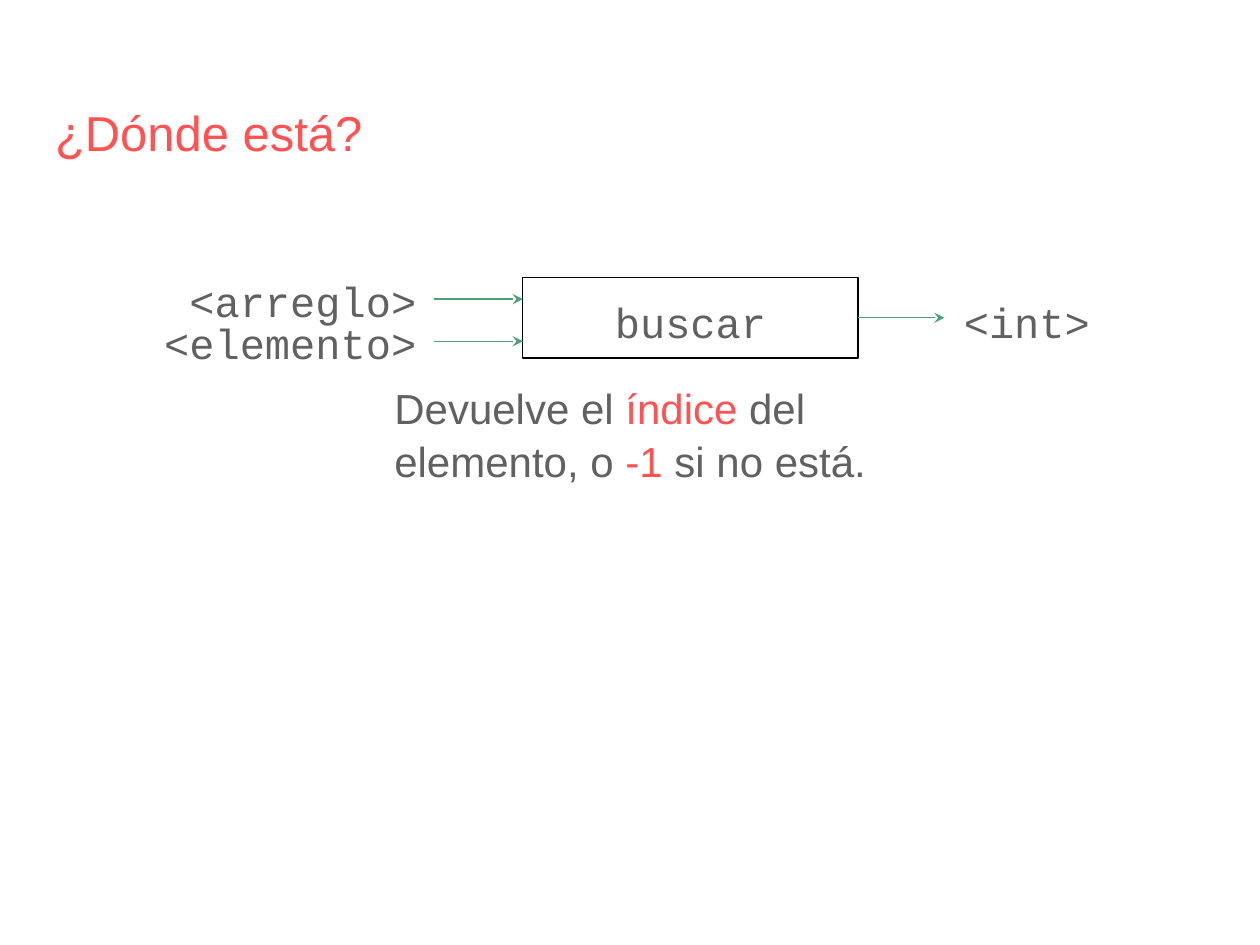
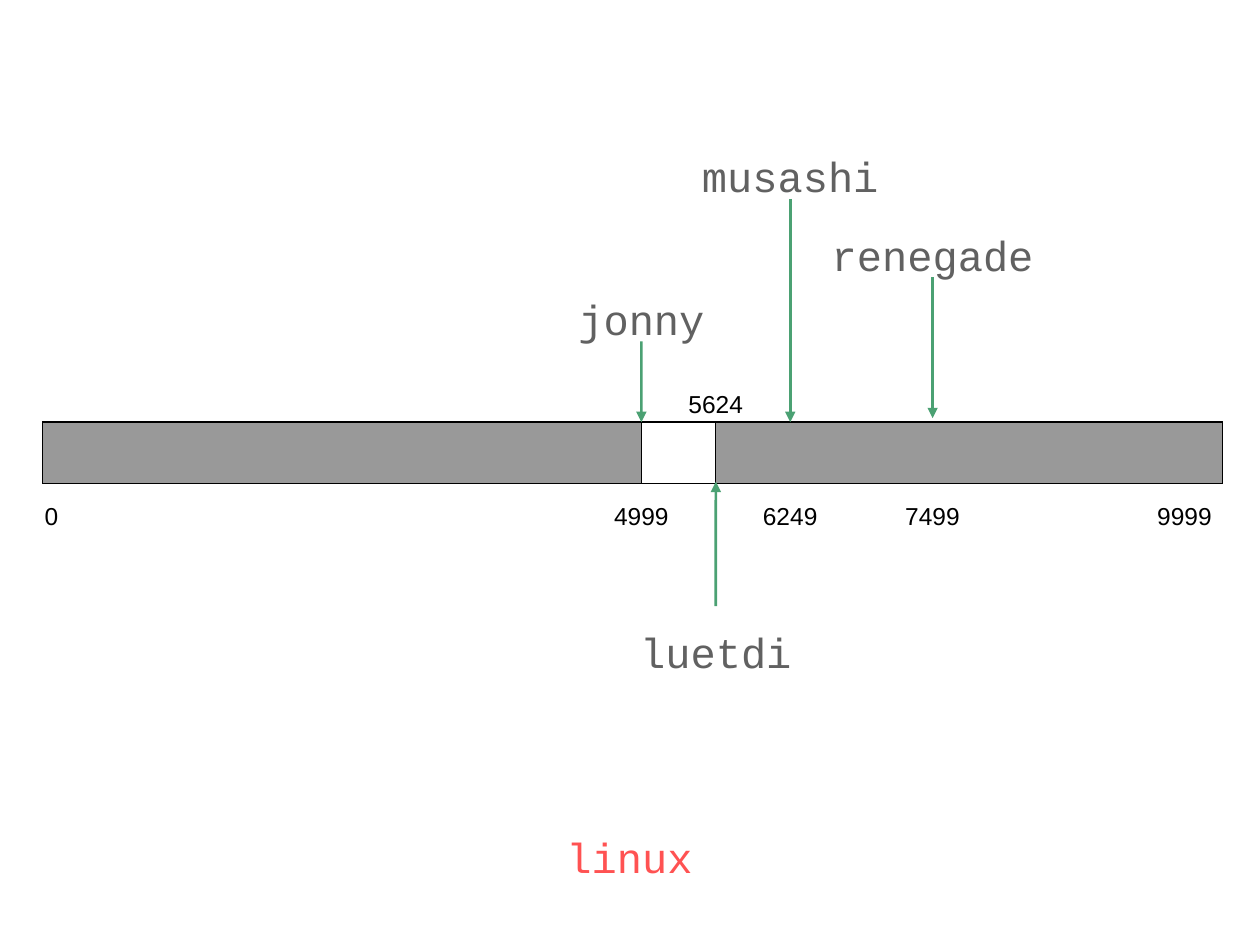
import pptx
import pptx.util
import pptx.dml.color
import pptx.enum.shapes
import pptx.enum.text
from dataclasses import dataclass
from lxml import etree

Cm, Pt = pptx.util.Cm, pptx.util.Pt
ALIGN = pptx.enum.text.PP_ALIGN
ANCHOR = pptx.enum.text.MSO_ANCHOR
TOP, LEFT, BOTTOM, RIGHT = range(4)


@dataclass(frozen=True)
class Theme:
    accent: str = "FF5252"
    body: str = "616161"
    arrow: str = "4BA173"
    ink: str = "000000"
    discarded: str = "999999"
    paper: str = "FFFFFF"
    sans: str = "Arial"
    mono: str = "Courier New"
    title_size: int = 28
    body_size: int = 24
    index_size: int = 14
    inset: float = 0.25
    thin: float = 0.75
    thick: float = 1.5
    spacing: float = 1.15


THEME = Theme()


def rgb(color):
    return pptx.dml.color.RGBColor.from_string(color)


def write(sp, runs, font=THEME.mono, size=THEME.body_size, align=ALIGN.CENTER,
          anchor=ANCHOR.MIDDLE, spacing=THEME.spacing):
    """Fill a shape with one paragraph of (text, color) runs."""
    tf = sp.text_frame
    tf.word_wrap = True
    tf.vertical_anchor = anchor
    tf.margin_left = tf.margin_right = Cm(THEME.inset)
    tf.margin_top = tf.margin_bottom = Cm(THEME.inset)
    p = tf.paragraphs[0]
    p.alignment = align
    p.line_spacing = spacing
    for text, color in runs:
        r = p.add_run()
        r.text = text
        r.font.name, r.font.size = font, Pt(size)
        r.font.color.rgb = rgb(color)


def add_text(s, box, runs, **style):
    sp = s.shapes.add_textbox(*map(Cm, box))
    write(sp, runs, **style)
    return sp


def add_rect(s, box, fill=None):
    sp = s.shapes.add_shape(pptx.enum.shapes.MSO_SHAPE.RECTANGLE, *map(Cm, box))
    sp.shadow.inherit = False
    if fill:
        sp.fill.solid()
        sp.fill.fore_color.rgb = rgb(fill)
    else:
        sp.fill.background()
    sp.line.color.rgb = rgb(THEME.ink)
    sp.line.width = Pt(THEME.thin)
    return sp


def add_arrow(s, start, end, width, head):
    c = s.shapes.add_connector(pptx.enum.shapes.MSO_CONNECTOR.STRAIGHT,
                               *map(Cm, start + end))
    c.line.color.rgb = rgb(THEME.arrow)
    c.line.width = Pt(width)
    tail = etree.SubElement(c.line._get_or_add_ln(),
                            pptx.oxml.ns.qn("a:tailEnd"))
    tail.set("type", head)
    etree.SubElement(c._element.spPr, pptx.oxml.ns.qn("a:effectLst"))
    return c


def add_title(s, text):
    add_text(s, (0.86, 1.65, 23.67, 2.11), [(text, THEME.accent)],
             font=THEME.sans, size=THEME.title_size, align=ALIGN.LEFT,
             anchor=ANCHOR.TOP)


def add_function_diagram(s, box, name, inputs, output):
    """Draw a function with its inputs on the left and output on the right."""
    x, y, w, h = box
    middle = y + h / 2
    label_h, row_gap = 0.94, 0.85

    function = add_rect(s, box)
    write(function, [(name, THEME.body)])

    # Inputs, stacked around the middle of the box
    for i, text in enumerate(inputs):
        row = middle + (i - (len(inputs) - 1) / 2) * row_gap
        add_text(s, (x - 7.85, row - label_h / 2, 5.95, label_h),
                 [(text, THEME.body)], align=ALIGN.RIGHT)
        add_arrow(s, (x - 1.8, row + 0.05), (x, row + 0.05),
                  THEME.thin, "stealth")

    # Output
    arrow = add_arrow(s, (x + w, middle), (x + w + 1.74, middle),
                      THEME.thin, "stealth")
    arrow.begin_connect(function, RIGHT)
    add_text(s, (x + w + 1.88, middle - label_h / 2, 3.78, label_h),
             [(output, THEME.body)], align=ALIGN.LEFT)


def add_search_bar(s, box, window, indexes, probes):
    """Draw the range searched, its indexes and the names probed in it."""
    x, y, w, h = box
    low, high = window
    index_w, name_w, name_h = 2.67, 6.17, 1.37

    # Whole range, with the discarded parts on both sides of the window
    add_rect(s, box, THEME.paper)
    add_rect(s, (x, y, low, h), THEME.discarded)
    add_rect(s, (x + high, y, w - high, h), THEME.discarded)

    # Index labels
    for text, at, top in indexes:
        add_text(s, (x + at - index_w / 2, y + top, index_w, h),
                 [(text, THEME.ink)], font=THEME.sans, size=THEME.index_size)

    # Probed names, each with an arrow to the nearer edge of the bar
    for name, at, top, tip in probes:
        label = add_text(s, (x + at - name_w / 2, y + top, name_w, name_h),
                         [(name, THEME.body)], anchor=ANCHOR.TOP)
        above = top < 0
        start = y + top + (name_h if above else 0)
        arrow = add_arrow(s, (x + at, start), (x + at, y + tip),
                          THEME.thick, "triangle")
        arrow.begin_connect(label, BOTTOM if above else TOP)


def build_where_slide(s):
    add_title(s, "¿Dónde está?")
    add_function_diagram(s, (10.54, 5.59, 6.76, 1.63), "buscar",
                         ["<arreglo>", "<elemento>"], "<int>")
    add_text(s, (7.7, 7.67, 12.19, 2.11),
             [("Devuelve el ", THEME.body), ("índice", THEME.accent),
              (" del elemento, o ", THEME.body), ("-1", THEME.accent),
              (" si no está.", THEME.body)],
             font=THEME.sans, align=ALIGN.LEFT, spacing=1.06)


def build_search_slide(s):
    bar_h, below, above = 1.24, 1.22, -1.04
    jonny, luetdi, musashi, renegade = 12.07, 13.57, 15.07, 17.94
    add_search_bar(
        s, (0.86, 8.51, 23.78, bar_h), (jonny, luetdi),
        indexes=[("0", 0.18, below), ("4999", jonny, below),
                 ("5624", luetdi, above), ("6249", musashi, below),
                 ("7499", renegade, below), ("9999", 23.02, below)],
        probes=[("jonny", jonny, -3, 0), ("musashi", musashi, -5.87, 0),
                ("renegade", renegade, -4.29, -0.08),
                ("luetdi", luetdi, 3.71, bar_h - 0.04)])

    # Name being searched for
    add_text(s, (5.44, 16.36, 14.5, 1.7), [("linux", THEME.accent)],
             anchor=ANCHOR.TOP)


def main():
    prs = pptx.Presentation()
    prs.slide_width, prs.slide_height = Cm(25.4), Cm(19.05)
    for build in (build_where_slide, build_search_slide):
        build(prs.slides.add_slide(prs.slide_layouts[6]))
    prs.save("out.pptx")


if __name__ == "__main__":
    main()
